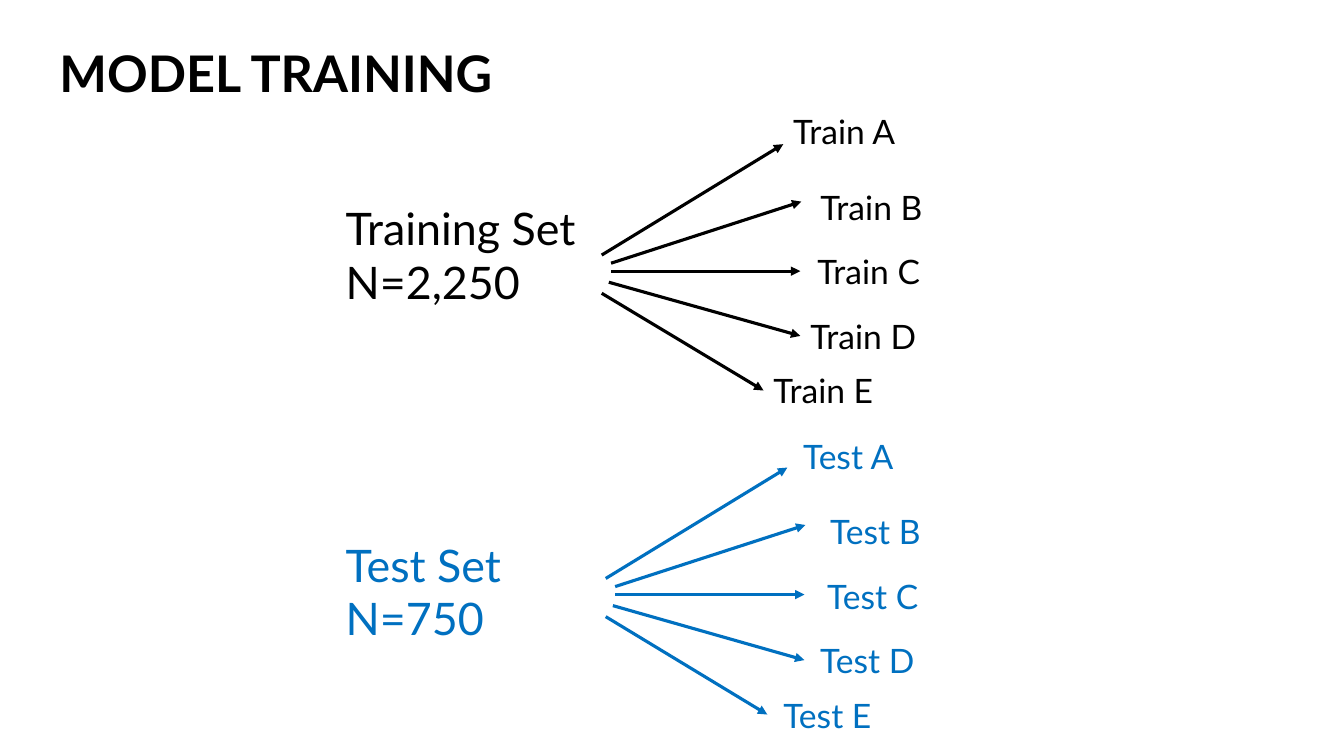
"""Build the model training slide: two data sets, each fanning out to five folds."""
from dataclasses import dataclass

import pptx
import pptx.dml.color
import pptx.enum.shapes
import pptx.enum.text
import pptx.oxml
import pptx.oxml.ns
import pptx.shapes.autoshape
import pptx.shapes.connector
import pptx.shapes.shapetree
import pptx.text.text
import pptx.util

Pt = pptx.util.Pt
BLACK = pptx.dml.color.RGBColor(0x00, 0x00, 0x00)
BLUE = pptx.dml.color.RGBColor(0x00, 0x70, 0xC0)
FONT = "Lato"
SET_LEFT, SET_WIDTH, SET_HEIGHT = 239.8, 190, 85
FOLD_WIDTH, FOLD_HEIGHT = 120, 36.3
LEFT_SIDE, RIGHT_SIDE = 1, 3
JOIN_DISTANCE = 1.5


@dataclass(frozen=True)
class Fold:
    letter: str
    label: tuple[float, float]
    start: tuple[float, float]
    end: tuple[float, float]


@dataclass(frozen=True)
class DataSet:
    heading: str
    size: str
    fold_name: str
    color: pptx.dml.color.RGBColor
    top: float
    arrow_shift: tuple[float, float]
    label_shift: tuple[float, float]


FOLDS = (
    Fold("A", (559.5, 75.6), (429.8, 182.2), (559.5, 103)),
    Fold("B", (578.9, 129.6), (436.5, 188), (572.4, 144)),
    Fold("C", (576.7, 175.7), (436.5, 193.7), (571.7, 193.7)),
    Fold("D", (571.7, 221.8), (434.9, 201.6), (571.7, 240.5)),
    Fold("E", (545.4, 260.8), (429.8, 209.5), (545.2, 279.4)),
)
DATA_SETS = (
    DataSet("Training Set", "N=2,250", "Train", BLACK, 139.7, (0, 0), (0, 0)),
    DataSet("Test Set", "N=750", "Test", BLUE, 380.2, (2.9, 231), (7, 232)),
)


def shifted(point: tuple[float, float], shift: tuple[float, float]) -> tuple[float, float]:
    return point[0] + shift[0], point[1] + shift[1]


def add_run(paragraph: pptx.text.text._Paragraph, text: str, size: float,
            color: pptx.dml.color.RGBColor, bold: bool = False) -> None:
    run = paragraph.add_run()
    run.text = text
    run.font.name = FONT
    run.font.size = Pt(size)
    run.font.bold = bold
    run.font.color.rgb = color


def add_label(shapes: pptx.shapes.shapetree._BaseGroupShapes, lines: tuple[str, ...],
              left: float, top: float, width: float, height: float, size: float,
              color: pptx.dml.color.RGBColor) -> pptx.shapes.autoshape.Shape:
    label = shapes.add_textbox(Pt(left), Pt(top), Pt(width), Pt(height))
    frame = label.text_frame
    frame.word_wrap = True
    frame.auto_size = pptx.enum.text.MSO_AUTO_SIZE.SHAPE_TO_FIT_TEXT
    for index, line in enumerate(lines):
        paragraph = frame.add_paragraph() if index else frame.paragraphs[0]
        add_run(paragraph, line, size, color)
    return label


def add_arrow(shapes: pptx.shapes.shapetree._BaseGroupShapes, start: tuple[float, float],
              end: tuple[float, float],
              color: pptx.dml.color.RGBColor) -> pptx.shapes.connector.Connector:
    arrow = shapes.add_connector(pptx.enum.shapes.MSO_CONNECTOR.STRAIGHT,
                                 Pt(start[0]), Pt(start[1]), Pt(end[0]), Pt(end[1]))
    arrow.line.color.rgb = color
    arrow.line.width = Pt(2.25)
    head = pptx.oxml.parse_xml(f'<a:tailEnd {pptx.oxml.ns.nsdecls("a")} type="triangle"/>')
    arrow.line._get_or_add_ln().append(head)
    effects = pptx.oxml.parse_xml(f'<a:effectLst {pptx.oxml.ns.nsdecls("a")}/>')
    arrow._element.spPr.append(effects)
    return arrow


def touches(point: tuple[float, float], x: float, shape: pptx.shapes.autoshape.Shape) -> bool:
    middle = (shape.top + shape.height / 2) / Pt(1)
    return abs(point[0] - x) < JOIN_DISTANCE and abs(point[1] - middle) < JOIN_DISTANCE


def add_data_set(shapes: pptx.shapes.shapetree.SlideShapes, data_set: DataSet) -> None:
    fan = shapes.add_group_shape()
    heading = add_label(fan.shapes, (data_set.heading, data_set.size), SET_LEFT,
                        data_set.top, SET_WIDTH, SET_HEIGHT, 32, data_set.color)
    for fold in FOLDS:
        left, top = shifted(fold.label, data_set.label_shift)
        label = add_label(shapes, (f"{data_set.fold_name} {fold.letter}",), left, top,
                          FOLD_WIDTH, FOLD_HEIGHT, 24, data_set.color)
        start = shifted(fold.start, data_set.arrow_shift)
        end = shifted(fold.end, data_set.arrow_shift)
        arrow = add_arrow(fan.shapes, start, end, data_set.color)
        if touches(start, SET_LEFT + SET_WIDTH, heading):
            arrow.begin_connect(heading, RIGHT_SIDE)
        if touches(end, left, label):
            arrow.end_connect(label, LEFT_SIDE)


def add_title(title: pptx.shapes.autoshape.Shape, text: str) -> None:
    title.left, title.top, title.width, title.height = Pt(35.3), Pt(13), Pt(381.6), Pt(82.8)
    title.text_frame.vertical_anchor = pptx.enum.text.MSO_ANCHOR.MIDDLE
    paragraph = title.text_frame.paragraphs[0]
    paragraph.alignment = pptx.enum.text.PP_ALIGN.LEFT
    paragraph.line_spacing = 0.9
    add_run(paragraph, text, 36, BLACK, bold=True)


def main() -> None:
    presentation = pptx.Presentation()
    presentation.slide_width, presentation.slide_height = Pt(960), Pt(540)
    slide = presentation.slides.add_slide(presentation.slide_layouts[5])
    add_title(slide.shapes.title, "MODEL TRAINING")
    for data_set in DATA_SETS:
        add_data_set(slide.shapes, data_set)
    presentation.save("out.pptx")


if __name__ == "__main__":
    main()
